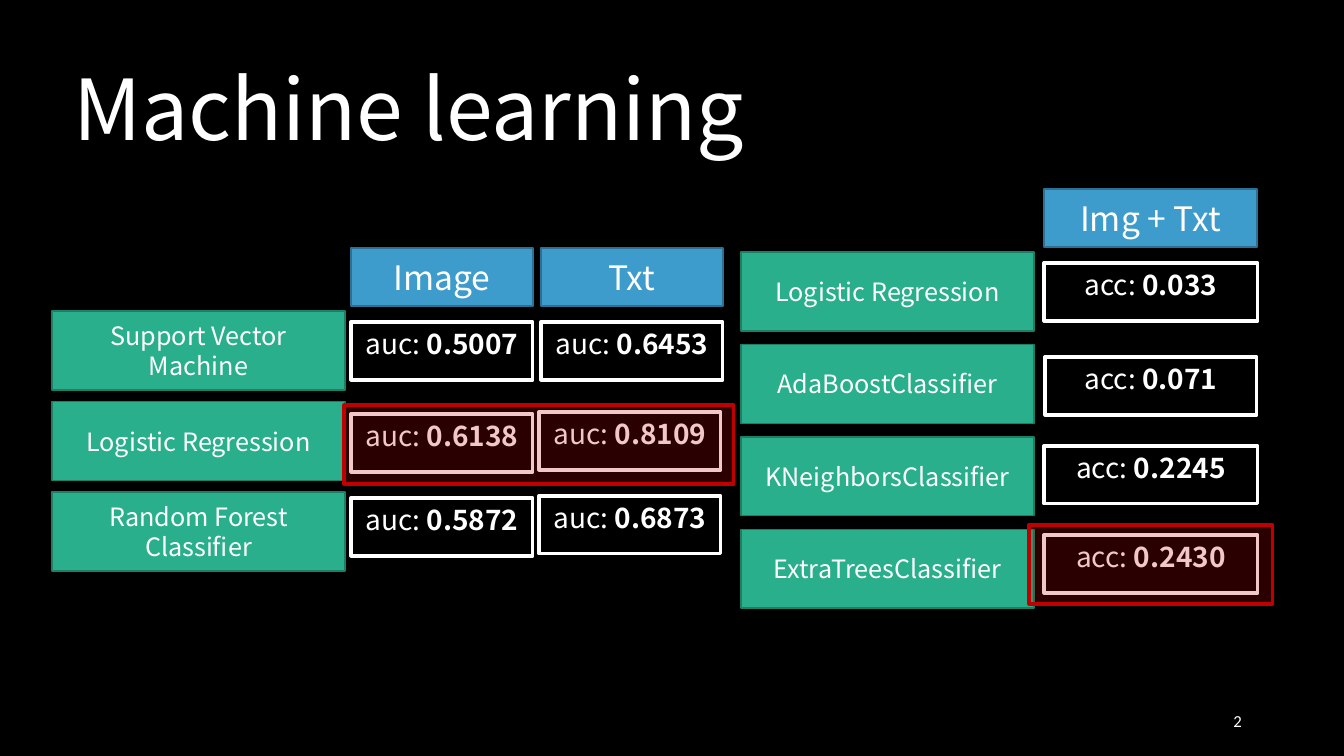
from pptx import Presentation, util as u
from pptx.dml.color import RGBColor
from pptx.enum import shapes, text
from pptx.oxml.xmlchemy import OxmlElement


class Theme:
    face, small = "Noto Sans CJK KR", "Calibri"
    black, white = "000000", "FFFFFF"
    green, moss = "29AF8C", "1D7F66"
    blue, navy = "3D9CCC", "2C7194"
    red = "C00000"
    title, head, score, label, page = 60, 24, 20, 18, 12
    thin, thick = 1, 2.25


PX = 914400 / 100.8


def box(place, fill, edge, width):
    rect = deck_shapes.add_shape(shapes.MSO_SHAPE.RECTANGLE, *[round(v * PX) for v in place])
    rect.shadow.inherit = False
    if fill:
        rect.fill.solid()
        rect.fill.fore_color.rgb = RGBColor.from_string(fill)
    else:
        rect.fill.background()
    rect.line.color.rgb = RGBColor.from_string(edge)
    rect.line.width = u.Pt(width)
    return rect


def write(shape, words, size, align, anchor, face=Theme.face):
    frame = shape.text_frame
    frame.word_wrap = True
    frame.auto_size = text.MSO_AUTO_SIZE.NONE
    frame.vertical_anchor = anchor
    para = frame.paragraphs[0]
    para.alignment = align
    para.font.size = u.Pt(size)
    para.font.name = face
    para.font.color.rgb = RGBColor.from_string(Theme.white)
    for word, bold in words:
        run = para.add_run()
        run.text = word
        if bold:
            run.font.bold = True
    return para


LEFT, MID, RIGHT = text.PP_ALIGN.LEFT, text.PP_ALIGN.CENTER, text.PP_ALIGN.RIGHT
TOP, CENTER, BOTTOM = text.MSO_ANCHOR.TOP, text.MSO_ANCHOR.MIDDLE, text.MSO_ANCHOR.BOTTOM

# Slide and background
deck = Presentation()
deck.slide_width, deck.slide_height = round(1344 * PX), round(756 * PX)
slide = deck.slides.add_slide(deck.slide_layouts[5])
deck_shapes = slide.shapes
slide.background.fill.solid()
slide.background.fill.fore_color.rgb = RGBColor.from_string(Theme.black)

# Title
title = deck_shapes.title
title.left, title.top, title.width, title.height = [round(v * PX) for v in (63, 47, 1159, 117)]
para = write(title, [("Machine learning", False)], Theme.title, LEFT, BOTTOM)
para.line_spacing = 0.9

# Page number
page = deck_shapes.add_textbox(*[round(v * PX) for v in (950, 701, 302, 40)])
write(page, [("2", False)], Theme.page, RIGHT, CENTER, Theme.small)

# Model names: left, first top, step, names
models = [
    (52, 311, 90.5, ["Support Vector Machine", "Logistic Regression", "Random Forest Classifier"]),
    (741, 252, 92.4, ["Logistic Regression", "AdaBoostClassifier",
                      "KNeighborsClassifier", "ExtraTreesClassifier"]),
]
for x, y, step, names in models:
    for row, name in enumerate(names):
        label = box((x, y + row * step, 293, 79), Theme.green, Theme.moss, Theme.thin)
        write(label, [(name, False)], Theme.label, MID, CENTER)

# Score columns: heading, left, top, width, metric, scores as (left, top, width, value)
columns = [
    ("Image", 351, 248, 182, "auc: ",
     [(351, 322, 182, "0.5007"), (351, 414, 182, "0.6138"), (351, 498, 182, "0.5872")]),
    ("Txt", 541, 248, 182, "auc: ",
     [(541, 322, 182, "0.6453"), (539, 412, 182, "0.8109"), (539, 496, 182, "0.6873")]),
    ("Img + Txt", 1044, 189, 213, "acc: ",
     [(1044, 263, 214, "0.033"), (1045, 357, 212, "0.071"),
      (1044, 446, 214, "0.2245"), (1044, 535, 214, "0.2430")]),
]
for name, x, y, wide, metric, scores in columns:
    head = box((x, y, wide, 58), Theme.blue, Theme.navy, Theme.thin)
    write(head, [(name, False)], Theme.head, MID, CENTER)
    for left, top, width, value in scores:
        cell = box((left, top, width, 58), None, Theme.white, Theme.thick)
        write(cell, [(metric, False), (value, True)], Theme.score, MID, TOP)

# Best results, marked in translucent red
for place in [(344, 405, 390, 79), (1029, 525, 244, 79)]:
    mark = box(place, Theme.red, Theme.red, Theme.thick)
    alpha = OxmlElement("a:alpha")
    alpha.set("val", "22000")
    mark.fill._xPr.solidFill.srgbClr.append(alpha)

deck.save("out.pptx")
